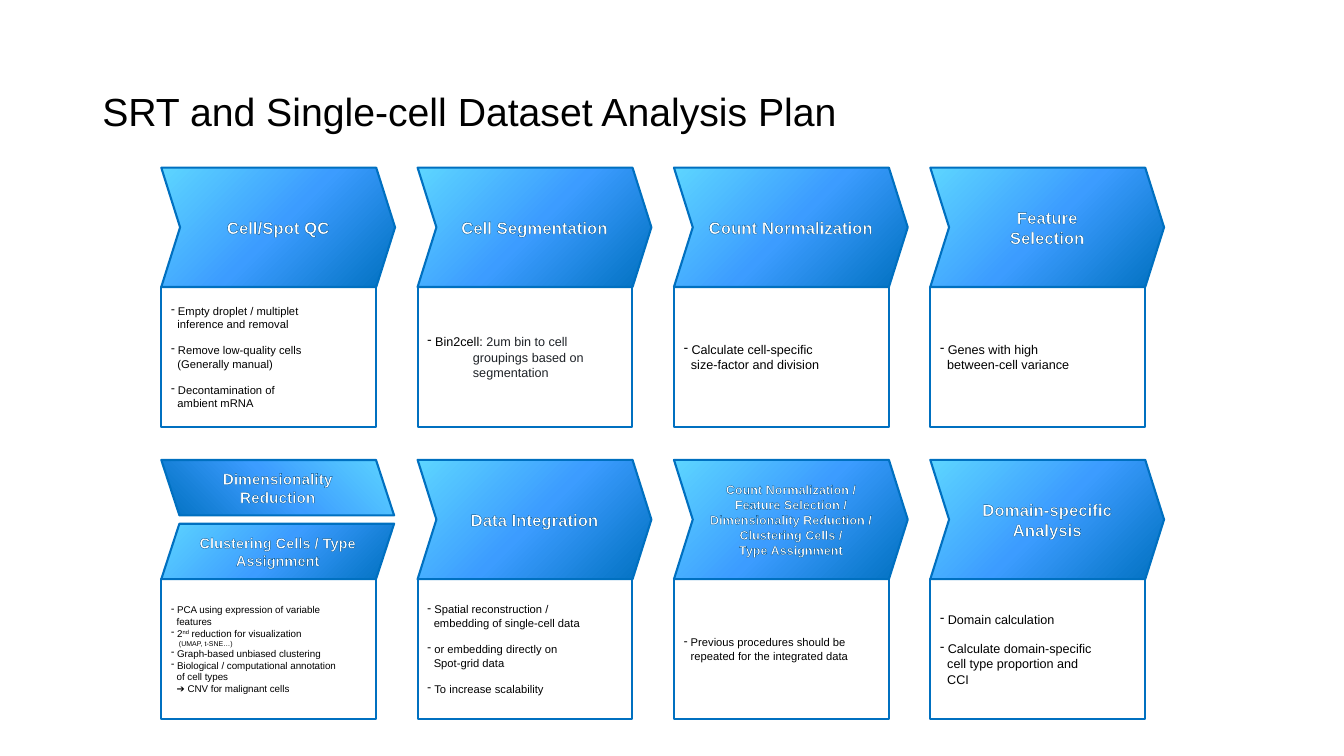
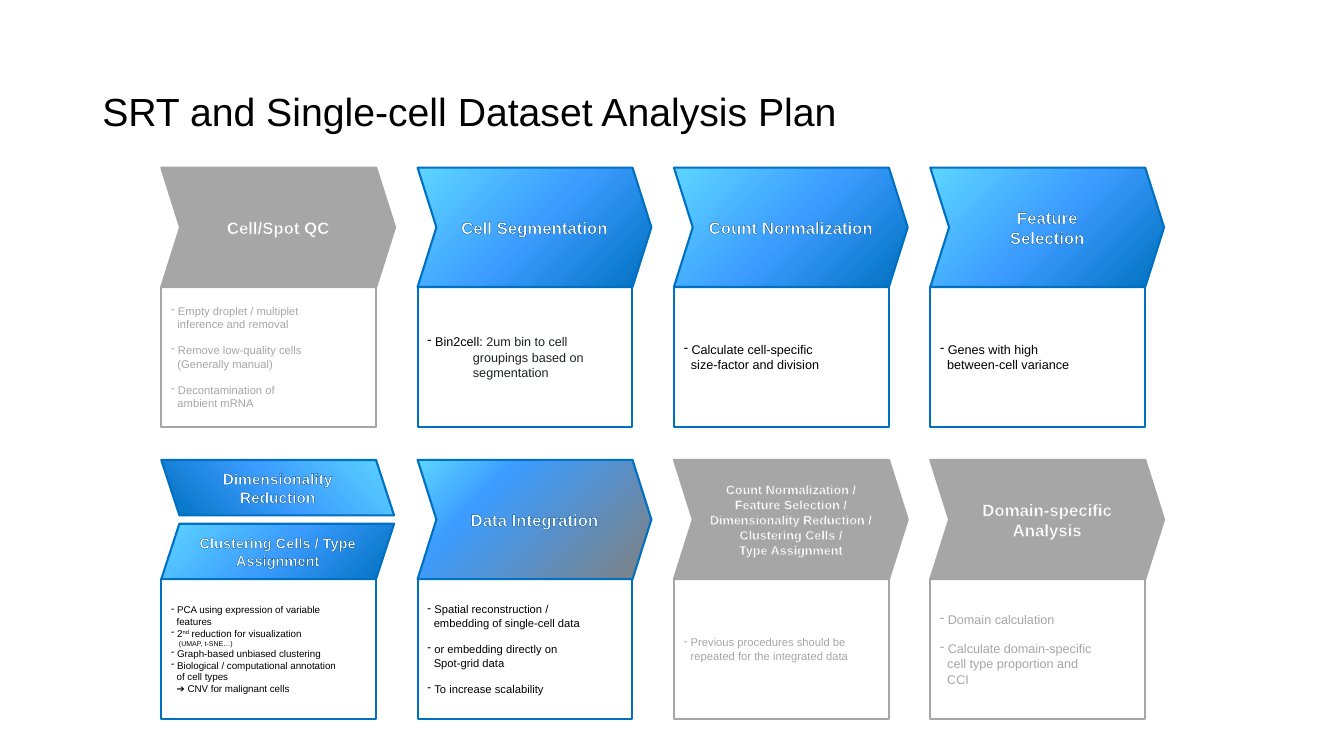
"""Build two slides of the dataset analysis plan: the full plan and its progress."""

from copy import deepcopy
from dataclasses import dataclass

from lxml.etree import SubElement
from pptx import Presentation
from pptx.dml.color import RGBColor
from pptx.enum.shapes import MSO_SHAPE as Preset
from pptx.enum.text import MSO_ANCHOR as Anchor, PP_ALIGN as Align
from pptx.oxml import parse_xml
from pptx.oxml.ns import nsdecls, qn
from pptx.util import Pt

FONT = "Arial"
BLACK = RGBColor(0x00, 0x00, 0x00)
WHITE = RGBColor(0xFF, 0xFF, 0xFF)
INK = RGBColor(0x1F, 0x23, 0x28)
BLUE = RGBColor(0x00, 0x70, 0xC0)
MID_BLUE = RGBColor(0x3C, 0x9C, 0xFF)
SKY = RGBColor(0x5D, 0xD5, 0xFF)
NAVY = RGBColor(0x00, 0x56, 0x96)
GRAY = RGBColor(0x80, 0x80, 0x80)
SILVER = RGBColor(0xA6, 0xA6, 0xA6)

LEFT, TOP = 115.2, 119.8
COLUMN_STEP, ROW_STEP = 183.1, 208.7
HEADER_WIDTH, HEADER_HEIGHT = 167, 85.2
BODY_WIDTH, BODY_HEIGHT = 153.4, 100
BAND_WIDTH, BAND_HEIGHT = 166.3, 39.6
BORDER = 1.5
DASH_EM, CONTINUE_EM, LINE_EM = 0.61, 0.56, 1.15


@dataclass(frozen=True)
class Look:
    """Colours of one step; without stops the header is filled with the border colour."""

    border: RGBColor
    body_text: RGBColor
    outline: RGBColor
    stops: tuple[tuple[float, RGBColor], ...] = ()


@dataclass(frozen=True)
class Span:
    """A stretch of text inside a line."""

    text: str
    raised: bool = False
    color: RGBColor | None = None


@dataclass(frozen=True)
class Line:
    """One line of a step's body."""

    spans: tuple[Span, ...]
    dashed: bool = False
    gap: bool = False
    indent: float = CONTINUE_EM
    size: float | None = None


@dataclass(frozen=True)
class Header:
    """A titled arrow or band above a step's body."""

    title: str
    size: float = 12
    outline_width: float = 0.25
    preset: Preset = Preset.CHEVRON
    adjustment: float = 0.158
    width: float = HEADER_WIDTH
    height: float = HEADER_HEIGHT
    offset: float = 0
    mirrored: bool = False


@dataclass(frozen=True)
class Step:
    """A step of the plan: its headers and body lines."""

    headers: tuple[Header, ...]
    size: float
    lines: tuple[Line, ...]


def dash(*parts: str | Span, gap: bool = False) -> Line:
    """Return a line that opens a dashed item."""
    spans = tuple(Span(part) if isinstance(part, str) else part for part in parts)
    return Line(spans, dashed=True, gap=gap)


def more(text: str, indent: float = CONTINUE_EM, size: float | None = None,
         color: RGBColor | None = None) -> Line:
    """Return a line that continues an item."""
    return Line((Span(text, color=color),), indent=indent, size=size)


def band(title: str, size: float, offset: float, mirrored: bool = False) -> Header:
    """Return a slanted half-height header."""
    return Header(title, size, 0.25, Preset.PARALLELOGRAM, 0.327,
                  BAND_WIDTH, BAND_HEIGHT, offset, mirrored)


ACTIVE = Look(BLUE, BLACK, NAVY, ((0, BLUE), (0.5, MID_BLUE), (1, SKY)))
PARTIAL = Look(BLUE, BLACK, NAVY, ((0, GRAY), (0.71, MID_BLUE), (1, SKY)))
MUTED = Look(SILVER, SILVER, SILVER)

PLAN = (
    (
        Step((Header("Cell/Spot QC"),), 8, (
            dash("Empty droplet / multiplet"),
            more("inference and removal"),
            dash("Remove low-quality cells", gap=True),
            more("(Generally manual)"),
            dash("Decontamination of", gap=True),
            more("ambient mRNA"),
        )),
        Step((Header("Cell Segmentation"),), 9, (
            dash("Bin2cell: ", Span("2um bin to cell", color=INK)),
            more("groupings based on", 3.61, color=INK),
            more("segmentation", 3.61, color=INK),
        )),
        Step((Header("Count Normalization"),), 9, (
            dash("Calculate cell-specific"),
            more("size-factor and division"),
        )),
        Step((Header("Feature\nSelection"),), 9, (
            dash("Genes with high"),
            more("between-cell variance"),
        )),
    ),
    (
        Step((
            band("Clustering Cells / Type Assignment", 10.5, HEADER_HEIGHT - BAND_HEIGHT),
            band("Dimensionality\nReduction", 11, 0, mirrored=True),
        ), 7, (
            dash("PCA using expression of variable"),
            more("features"),
            dash("2", Span("nd", raised=True), " reduction for visualization"),
            more("(UMAP, t-SNE…)", 1.11, 5),
            dash("Graph-based unbiased clustering"),
            dash("Biological / computational annotation"),
            more("of cell types"),
            more("➔ CNV for malignant cells"),
        )),
        Step((Header("Data Integration"),), 8, (
            dash("Spatial reconstruction /"),
            more("embedding of single-cell data"),
            dash("or embedding directly on", gap=True),
            more("Spot-grid data"),
            dash("To increase scalability", gap=True),
        )),
        Step((Header("Count Normalization / Feature Selection / Dimensionality Reduction /\n"
                     "Clustering Cells /\nType Assignment", 9, 0.05),), 8, (
            dash("Previous procedures should be repeated for the integrated data"),
        )),
        Step((Header("Domain-specific Analysis"),), 9, (
            dash("Domain calculation"),
            dash("Calculate domain-specific", gap=True),
            more("cell type proportion and"),
            more("CCI"),
        )),
    ),
)

FULL_PLAN: dict[tuple[int, int], Look] = {}
PROGRESS = {(0, 0): MUTED, (1, 1): PARTIAL, (1, 2): MUTED, (1, 3): MUTED}


def format_run(run, size: float, color: RGBColor, bold: bool = False) -> None:
    """Set the font of a run."""
    run.font.name = FONT
    run.font.size = Pt(size)
    run.font.bold = bold
    run.font.color.rgb = color


def outline_run(run, width: float, color: RGBColor) -> None:
    """Draw a thin line round the letters of a run."""
    run._r.get_or_add_rPr().insert(0, parse_xml(
        f'<a:ln {nsdecls("a")} w="{int(Pt(width))}"><a:solidFill>'
        f'<a:srgbClr val="{color}"/></a:solidFill></a:ln>'))


def fill_gradient(shape, stops: tuple[tuple[float, RGBColor], ...]) -> None:
    """Fill a shape with a diagonal gradient."""
    shape.fill.gradient()
    shape.fill.gradient_angle = 135
    stop_list = shape._element.spPr.find(".//" + qn("a:gsLst"))
    while len(stop_list) < len(stops):
        stop_list.append(deepcopy(stop_list[0]))
    for stop, (position, color) in zip(shape.fill.gradient_stops, stops):
        stop.position = position
        stop.color.rgb = color


def add_panel(slide, preset: Preset, left: float, top: float, width: float,
              height: float, border: RGBColor):
    """Add a bordered shape without shadow."""
    panel = slide.shapes.add_shape(preset, Pt(left), Pt(top), Pt(width), Pt(height))
    panel.shadow.inherit = False
    panel.line.color.rgb = border
    panel.line.width = Pt(BORDER)
    panel.text_frame.vertical_anchor = Anchor.MIDDLE
    panel.text_frame.word_wrap = True
    return panel


def draw_header(slide, header: Header, left: float, top: float, look: Look) -> None:
    """Draw one titled header."""
    panel = add_panel(slide, header.preset, left, top + header.offset,
                      header.width, header.height, look.border)
    panel.adjustments[0] = header.adjustment
    if header.mirrored:
        panel.rotation = 180
        panel._element.spPr.find(qn("a:xfrm")).set("flipV", "1")
    if look.stops:
        fill_gradient(panel, look.stops)
    else:
        panel.fill.solid()
        panel.fill.fore_color.rgb = look.border
    panel.text_frame.text = header.title
    for paragraph in panel.text_frame.paragraphs:
        paragraph.alignment = Align.CENTER
        for run in paragraph.runs:
            format_run(run, header.size, WHITE, bold=True)
            outline_run(run, header.outline_width, look.outline)


def write_line(paragraph, line: Line, size: float, look: Look) -> None:
    """Write one body line with its dash or indent."""
    size = line.size or size
    margin = Pt(size * (DASH_EM if line.dashed else line.indent))
    properties = paragraph._p.get_or_add_pPr()
    properties.set("marL", str(int(margin)))
    properties.set("indent", str(-int(margin) if line.dashed else 0))
    if line.dashed:
        SubElement(properties, qn("a:buChar")).set("char", "-")
    else:
        SubElement(properties, qn("a:buNone"))
    paragraph.alignment = Align.LEFT
    if line.gap:
        paragraph.space_before = Pt(round(size * LINE_EM, 1))
    for span in line.spans:
        run = paragraph.add_run()
        run.text = span.text
        format_run(run, size, span.color or look.body_text)
        if span.raised:
            run._r.get_or_add_rPr().set("baseline", "30000")


def draw_step(slide, step: Step, left: float, top: float, look: Look) -> None:
    """Draw a step's body and headers."""
    body = add_panel(slide, Preset.RECTANGLE, left, top + HEADER_HEIGHT,
                     BODY_WIDTH, BODY_HEIGHT, look.border)
    body.fill.background()
    frame = body.text_frame
    for index, line in enumerate(step.lines):
        paragraph = frame.add_paragraph() if index else frame.paragraphs[0]
        write_line(paragraph, line, step.size, look)
    for header in step.headers:
        draw_header(slide, header, left, top, look)


def draw_title(slide, title: str) -> None:
    """Draw the slide title."""
    frame = slide.shapes.add_textbox(Pt(66), Pt(28.8), Pt(828), Pt(104.4)).text_frame
    frame.word_wrap = True
    frame.vertical_anchor = Anchor.MIDDLE
    frame.text = title
    frame.paragraphs[0].line_spacing = 0.9
    format_run(frame.paragraphs[0].runs[0], 28, BLACK)


def main() -> None:
    """Build and save the presentation."""
    deck = Presentation()
    deck.slide_width, deck.slide_height = Pt(960), Pt(540)
    for looks in (FULL_PLAN, PROGRESS):
        slide = deck.slides.add_slide(deck.slide_layouts[6])
        draw_title(slide, "SRT and Single-cell Dataset Analysis Plan")
        for row, steps in enumerate(PLAN):
            for column, step in enumerate(steps):
                draw_step(slide, step, LEFT + column * COLUMN_STEP, TOP + row * ROW_STEP,
                          looks.get((row, column), ACTIVE))
    deck.save("out.pptx")


if __name__ == "__main__":
    main()
